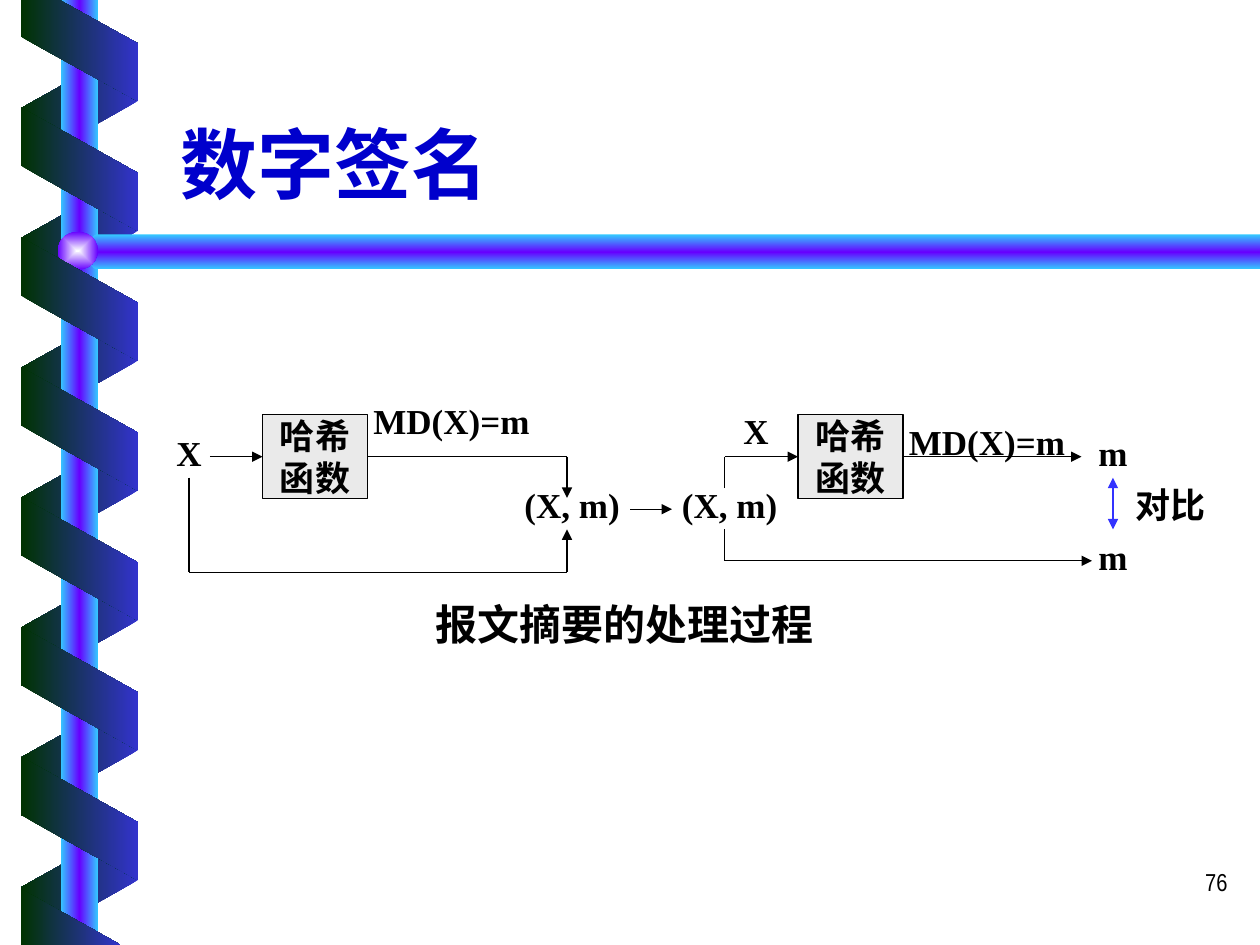
"""Build the digital signature slide with its message digest flow."""
from lxml.etree import SubElement
from pptx import Presentation
from pptx.dml.color import RGBColor
from pptx.enum.shapes import MSO_CONNECTOR, MSO_SHAPE as Shape
from pptx.enum.text import MSO_ANCHOR as Anchor, PP_ALIGN as Align
from pptx.oxml.ns import qn
from pptx.util import Pt

BLACK = RGBColor(0x00, 0x00, 0x00)
TITLE_BLUE = RGBColor(0x00, 0x00, 0xCC)
COMPARE_BLUE = RGBColor(0x33, 0x33, 0xFF)
BOX_GREY = RGBColor(0xEA, 0xEA, 0xEA)
RIBBON_BLUE = RGBColor(0x33, 0x33, 0xCC)
RIBBON_GREEN = RGBColor(0x00, 0x33, 0x00)
SKY = RGBColor(0x33, 0xCC, 0xFF)
VIOLET = RGBColor(0x66, 0x00, 0xFF)
GLINT = RGBColor(0xFE, 0xFF, 0xFF)

SERIF = "Times New Roman"
HAN = "Noto Sans CJK SC"
RIBBON = (RIBBON_GREEN, RIBBON_BLUE)
POLE = (SKY, VIOLET, SKY)
RIBBON_STEP = 74.2
FLOW_Y = 261


def paint_gradient(shape, colors, angle=0, radial=False):
    """Fill a shape with evenly spaced gradient colours and no outline."""
    shape.shadow.inherit = False
    shape.line.fill.background()
    shape.fill.gradient()
    grad = shape._element.spPr.find(qn("a:gradFill"))
    grad.set("rotWithShape", "0")
    for child in list(grad):
        grad.remove(child)
    stops = SubElement(grad, qn("a:gsLst"))
    for index, color in enumerate(colors):
        position = 100000 * index // (len(colors) - 1)
        stop = SubElement(stops, qn("a:gs"), pos=str(position))
        SubElement(stop, qn("a:srgbClr"), val=str(color))
    if radial:
        center = SubElement(grad, qn("a:path"), path="rect")
        SubElement(center, qn("a:fillToRect"), l="50000", t="50000", r="50000", b="50000")
    else:
        SubElement(grad, qn("a:lin"), ang=str(angle * 60000), scaled="1")


def add_block(slide, kind, left, top, width, height):
    """Add a preset shape placed in points."""
    return slide.shapes.add_shape(kind, Pt(left), Pt(top), Pt(width), Pt(height))


def add_outline(slide, points, colors, angle=0):
    """Add a closed gradient outline through the given points."""
    builder = slide.shapes.build_freeform(*points[0], scale=Pt(1))
    builder.add_line_segments(points[1:], close=True)
    paint_gradient(builder.convert_to_shape(), colors, angle)


def add_ribbon(slide, first_top, count, rotation, colors, flipped=False):
    """Add one side of the ribbon as equally spaced slanted bands."""
    for index in range(count):
        top = first_top + index * RIBBON_STEP
        band = add_block(slide, Shape.PARALLELOGRAM, 10.1, top, 70.5, 66.6)
        band.adjustments[0] = 0.56
        band.rotation = rotation
        if flipped:
            band._element.spPr.find(qn("a:xfrm")).set("flipH", "1")
        paint_gradient(band, colors)


def write_text(frame, text, size, color=BLACK, font=SERIF, bold=True, align=Align.CENTER):
    """Set the text of a frame and format its runs."""
    frame.text = text
    for paragraph in frame.paragraphs:
        paragraph.alignment = align
        for run in paragraph.runs:
            run.font.size = Pt(size)
            run.font.bold = bold
            run.font.color.rgb = color
            run.font.name = font
            SubElement(run._r.rPr, qn("a:ea"), typeface=HAN)


def add_label(slide, text, left, top, width, height=31.5, size=20, anchor=Anchor.TOP, **style):
    """Add a wrapped text box."""
    label = slide.shapes.add_textbox(Pt(left), Pt(top), Pt(width), Pt(height))
    label.text_frame.word_wrap = True
    label.text_frame.vertical_anchor = anchor
    write_text(label.text_frame, text, size, **style)


def add_hash_box(slide, left):
    """Add a hash function box centred on the flow line."""
    box = add_block(slide, Shape.RECTANGLE, left, FLOW_Y - 24, 60, 48)
    box.shadow.inherit = False
    box.fill.solid()
    box.fill.fore_color.rgb = BOX_GREY
    box.line.color.rgb = BLACK
    box.line.width = Pt(0.75)
    box.text_frame.word_wrap = False
    box.text_frame.vertical_anchor = Anchor.MIDDLE
    write_text(box.text_frame, "哈希\n函数", 20)
    return box


def add_flow(slide, start, end, ends=("tailEnd",), color=BLACK):
    """Add a straight line with triangle heads at the named ends."""
    flow = slide.shapes.add_connector(MSO_CONNECTOR.STRAIGHT, *map(Pt, start + end))
    flow.line.color.rgb = color
    flow.line.width = Pt(0.75)
    for name in ends:
        SubElement(flow.line._get_or_add_ln(), qn(f"a:{name}"), type="triangle")
    SubElement(flow._element.spPr, qn("a:effectLst"))
    return flow


def add_decoration(slide):
    """Draw the pole, the crossbar and the ribbon wound around the pole."""
    add_ribbon(slide, 26.5, 7, 90, RIBBON[::-1], flipped=True)
    paint_gradient(add_block(slide, Shape.RECTANGLE, 34.6, 0, 21.6, 540), POLE)
    crossbar = [(720, 134), (55, 134), (43, 144), (55, 154), (720, 154)]
    add_outline(slide, crossbar, POLE, 90)
    ball = add_block(slide, Shape.OVAL, 33, 132.5, 23, 21.6)
    paint_gradient(ball, (GLINT, VIOLET), radial=True)
    add_ribbon(slide, 63.4, 6, 270, RIBBON)
    add_outline(slide, [(12.2, 0), (12.2, 21), (78.6, 58.3), (78.6, 25), (34, 0)], RIBBON)
    add_outline(slide, [(69, 539.5), (12, 507.5), (11.8, 540)], RIBBON)


def add_sender(slide):
    """Draw the side that hashes X and joins it with the digest."""
    hash_box = add_hash_box(slide, 150)
    add_flow(slide, (120, FLOW_Y), (150, FLOW_Y)).end_connect(hash_box, 1)
    add_flow(slide, (210, FLOW_Y), (324, FLOW_Y), ()).begin_connect(hash_box, 3)
    add_flow(slide, (324, FLOW_Y), (324, 284.5))
    add_flow(slide, (108, 273), (108, 327), ())
    add_flow(slide, (108, 327), (324, 327), ())
    add_flow(slide, (324, 327), (324, 302.5))
    add_label(slide, "X", 90, 243, 36)
    add_label(slide, "MD(X)=m", 198, 225, 120)
    add_label(slide, "(X, m)", 288, 273, 78)


def add_receiver(slide):
    """Draw the side that hashes X again and compares both digests."""
    hash_box = add_hash_box(slide, 456)
    add_flow(slide, (360, 291), (384, 291))
    add_flow(slide, (414, 279), (414, FLOW_Y), ())
    add_flow(slide, (414, FLOW_Y), (456, FLOW_Y)).end_connect(hash_box, 1)
    add_flow(slide, (516, FLOW_Y), (618, FLOW_Y)).begin_connect(hash_box, 3)
    add_flow(slide, (414, 302.5), (414, 320.5), ())
    add_flow(slide, (414, 320.5), (624, 320.5))
    add_flow(slide, (636, 273), (636, 302.5), ("headEnd", "tailEnd"), COMPARE_BLUE)
    add_label(slide, "(X, m)", 378, 273, 78)
    add_label(slide, "X", 414, 230.5, 36)
    add_label(slide, "MD(X)=m", 504, 237, 120)
    for digest_top in (243, 302.5):
        add_label(slide, "m", 618, digest_top, 36)
    add_label(slide, "对比", 642, 273, 60, align=Align.LEFT)


def main():
    """Build and save the slide."""
    deck = Presentation()
    deck.slide_width, deck.slide_height = Pt(720), Pt(540)
    slide = deck.slides.add_slide(deck.slide_layouts[6])
    add_decoration(slide)
    add_label(slide, "76", 558.5, 492, 150, 36, 14,
              font="Arial Narrow", bold=False, align=Align.RIGHT)
    add_label(slide, "数字签名", 96, 33, 612, 90, 44, Anchor.BOTTOM,
              color=TITLE_BLUE, font=HAN, align=Align.LEFT)
    add_sender(slide)
    add_receiver(slide)
    add_label(slide, "报文摘要的处理过程", 222, 338.5, 270, 36, 24)
    deck.save("out.pptx")


if __name__ == "__main__":
    main()
